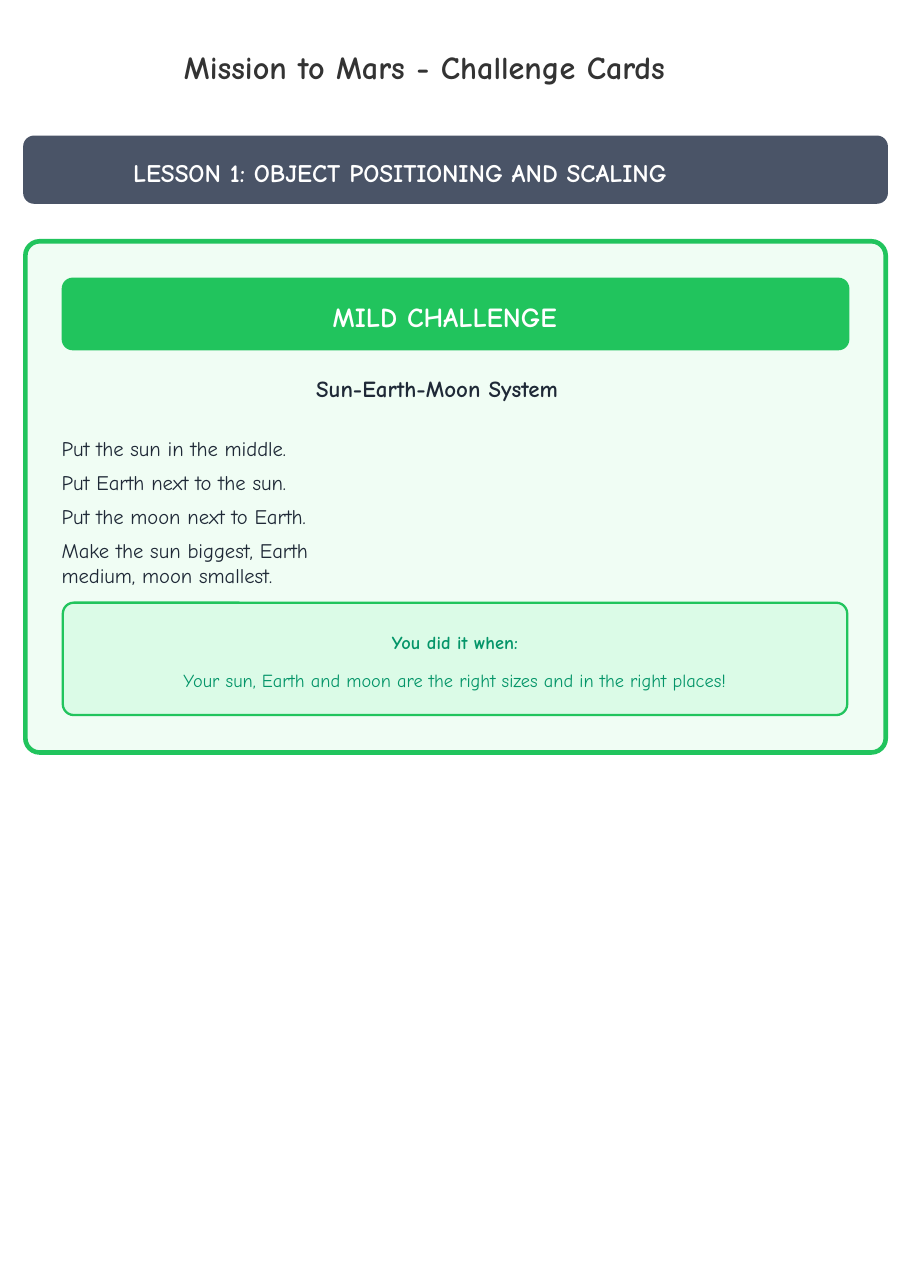
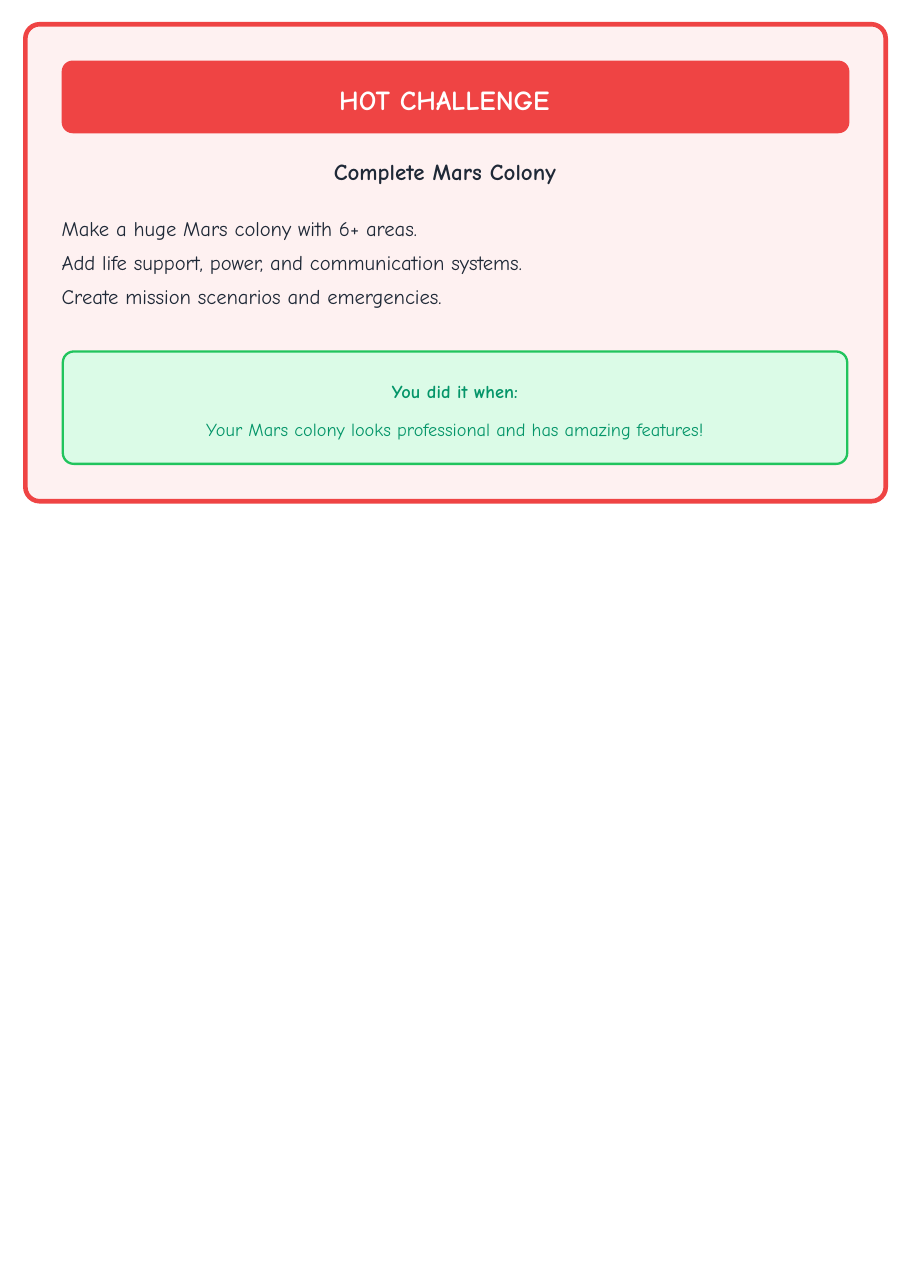
"""Build the two challenge card slides."""
from pptx import Presentation
from pptx.dml.color import RGBColor
from pptx.enum.shapes import MSO_SHAPE
from pptx.enum.text import MSO_ANCHOR, PP_ALIGN
from pptx.util import Inches, Pt

ROUNDED = MSO_SHAPE.ROUNDED_RECTANGLE
TOP = MSO_ANCHOR.TOP
LEFT, CENTER = PP_ALIGN.LEFT, PP_ALIGN.CENTER

FONT = "Comic Neue"
WHITE = RGBColor(0xFF, 0xFF, 0xFF)
CHARCOAL = RGBColor(0x33, 0x33, 0x33)
SLATE = RGBColor(0x4A, 0x54, 0x67)
INK = RGBColor(0x1F, 0x29, 0x37)
GREEN = RGBColor(0x21, 0xC4, 0x5D)
GREEN_PALE = RGBColor(0xF0, 0xFD, 0xF4)
GREEN_LIGHT = RGBColor(0xDB, 0xFB, 0xE7)
GREEN_DARK = RGBColor(0x04, 0x95, 0x69)
RED = RGBColor(0xEF, 0x44, 0x44)
RED_PALE = RGBColor(0xFE, 0xF1, 0xF1)

TITLE = "Mission to Mars - Challenge Cards"
LESSON = "LESSON 1: OBJECT POSITIONING AND SCALING"
SUCCESS = "You did it when:"
CARDS = [
    {
        "header": (TITLE, LESSON),
        "top": 2.19, "height": 4.64, "color": GREEN, "tint": GREEN_PALE,
        "level": "MILD CHALLENGE", "level_x": 2.99,
        "heading": "Sun-Earth-Moon System", "heading_x": 2.87,
        "tasks": [
            "Put the sun in the middle.",
            "Put Earth next to the sun.",
            "Put the moon next to Earth.",
            "Make the sun biggest, Earth medium, moon smallest.",
        ],
        "tasks_y": 1.76, "tasks_w": 2.6,
        "goal": "Your sun, Earth and moon are the right sizes and in the right places!",
    },
    {
        "header": None,
        "top": 0.22, "height": 4.33, "color": RED, "tint": RED_PALE,
        "level": "HOT CHALLENGE", "level_x": 3.05,
        "heading": "Complete Mars Colony", "heading_x": 3.03,
        "tasks": [
            "Make a huge Mars colony with 6+ areas.",
            "Add life support, power, and communication systems.",
            "Create mission scenarios and emergencies.",
        ],
        "tasks_y": 1.73, "tasks_w": 6,
        "goal": "Your Mars colony looks professional and has amazing features!",
    },
]

CARD_X, CARD_W = 0.23, 7.81
BANNER_X, BANNER_W, BANNER_H = 0.56, 7.15, 0.66
GOAL_X, GOAL_W, GOAL_H = 0.57, 7.12, 1.02
PAD = 0.33


def add_box(s, x, y, w, h, fill, line=None, width=1.5, radius=0.1):
    sp = s.shapes.add_shape(ROUNDED, Inches(x), Inches(y), Inches(w), Inches(h))
    sp.adjustments[0] = radius / min(w, h)
    sp.shadow.inherit = False
    sp.fill.solid()
    sp.fill.fore_color.rgb = fill
    if line is None:
        sp.line.fill.background()
    else:
        sp.line.color.rgb = line
        sp.line.width = Pt(width)
    return sp


def add_label(s, x, y, w, h):
    return s.shapes.add_textbox(Inches(x), Inches(y), Inches(w), Inches(h))


def write(sp, lines, size, color, bold=(True,), align=LEFT, gap=0, left=0, top=0.01):
    """Fill a shape with paragraphs; the last bold flag holds for the rest."""
    tf = sp.text_frame
    tf.word_wrap = True
    tf.vertical_anchor = TOP
    tf.margin_left, tf.margin_top = Inches(left), Inches(top)
    tf.margin_right = tf.margin_bottom = 0
    for i, line in enumerate(lines):
        p = tf.paragraphs[0] if i == 0 else tf.add_paragraph()
        p.alignment = align
        p.space_before = Pt(gap if i else 1)
        r = p.add_run()
        r.text = line
        r.font.name = FONT
        r.font.size = Pt(size)
        r.font.bold = bold[min(i, len(bold) - 1)]
        r.font.color.rgb = color


def add_header(s, title, lesson):
    write(add_label(s, 1.67, 0.42, 5.5, 0.38), [title], 21, CHARCOAL)
    bar = add_box(s, 0.21, 1.23, 7.85, 0.62, SLATE)
    write(bar, [lesson], 16.5, WHITE, left=0.97, top=0.17)


def add_card(s, card):
    top, height = card["top"], card["height"]
    add_box(s, CARD_X, top, CARD_W, height, card["tint"], card["color"], 3, 0.13)

    banner = add_box(s, BANNER_X, top + PAD, BANNER_W, BANNER_H, card["color"])
    write(banner, [card["level"]], 18, WHITE, left=card["level_x"] - BANNER_X, top=0.17)

    heading = add_label(s, card["heading_x"], top + 1.2, 3, 0.3)
    write(heading, [card["heading"]], 15, INK)

    tasks = add_label(s, BANNER_X, top + card["tasks_y"], card["tasks_w"], 1.3)
    write(tasks, card["tasks"], 13.5, INK, bold=(False,), gap=6)

    goal = add_box(s, GOAL_X, top + height - PAD - GOAL_H - 0.01, GOAL_W, GOAL_H,
                   GREEN_LIGHT, GREEN)
    write(goal, [SUCCESS, card["goal"]], 12, GREEN_DARK, bold=(True, False),
          align=CENTER, gap=10.3, top=0.23)


def main():
    prs = Presentation()
    prs.slide_width, prs.slide_height = Inches(8.26), Inches(11.69)
    for card in CARDS:
        s = prs.slides.add_slide(prs.slide_layouts[6])
        if card["header"]:
            add_header(s, *card["header"])
        add_card(s, card)
    prs.save("out.pptx")


if __name__ == "__main__":
    main()
